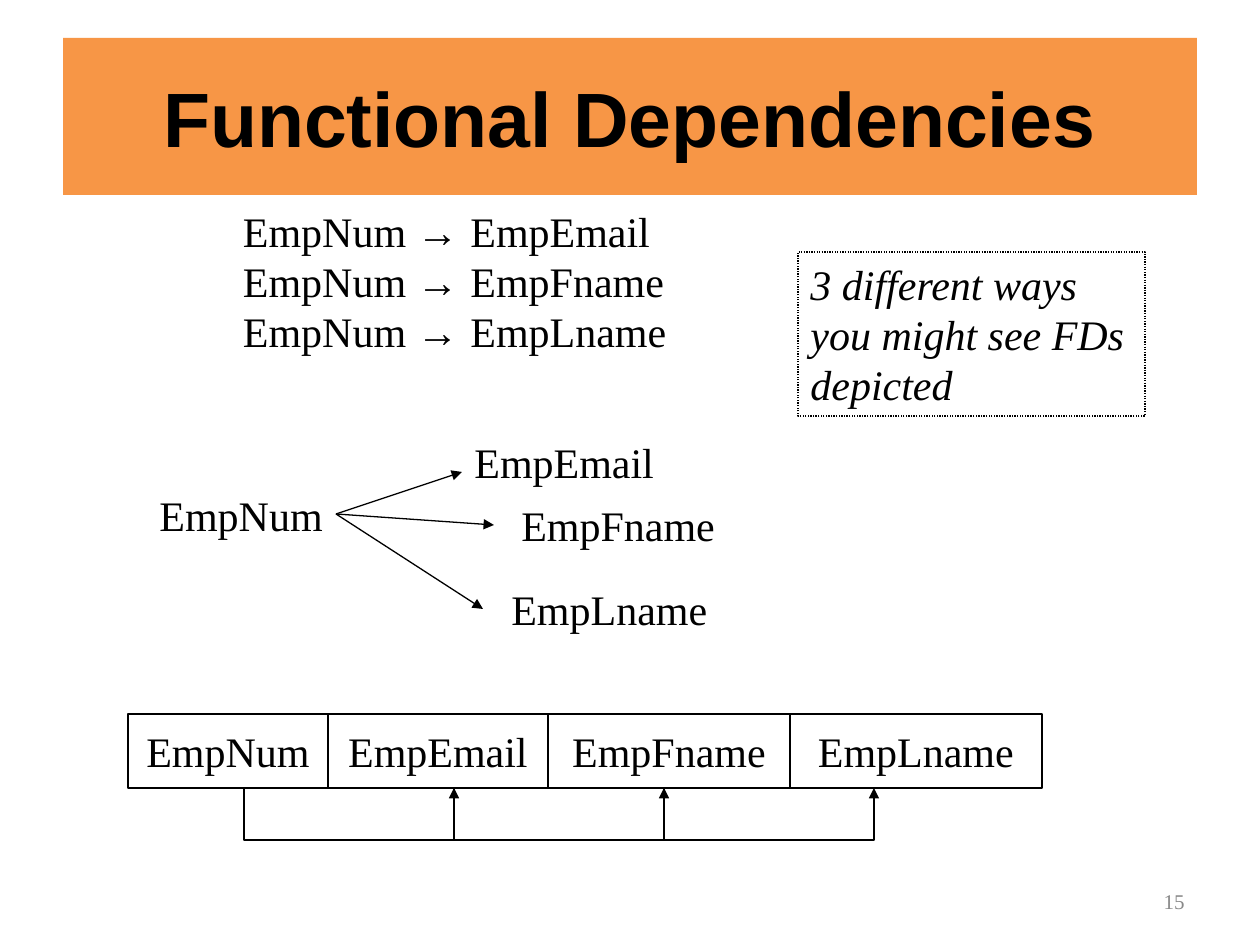
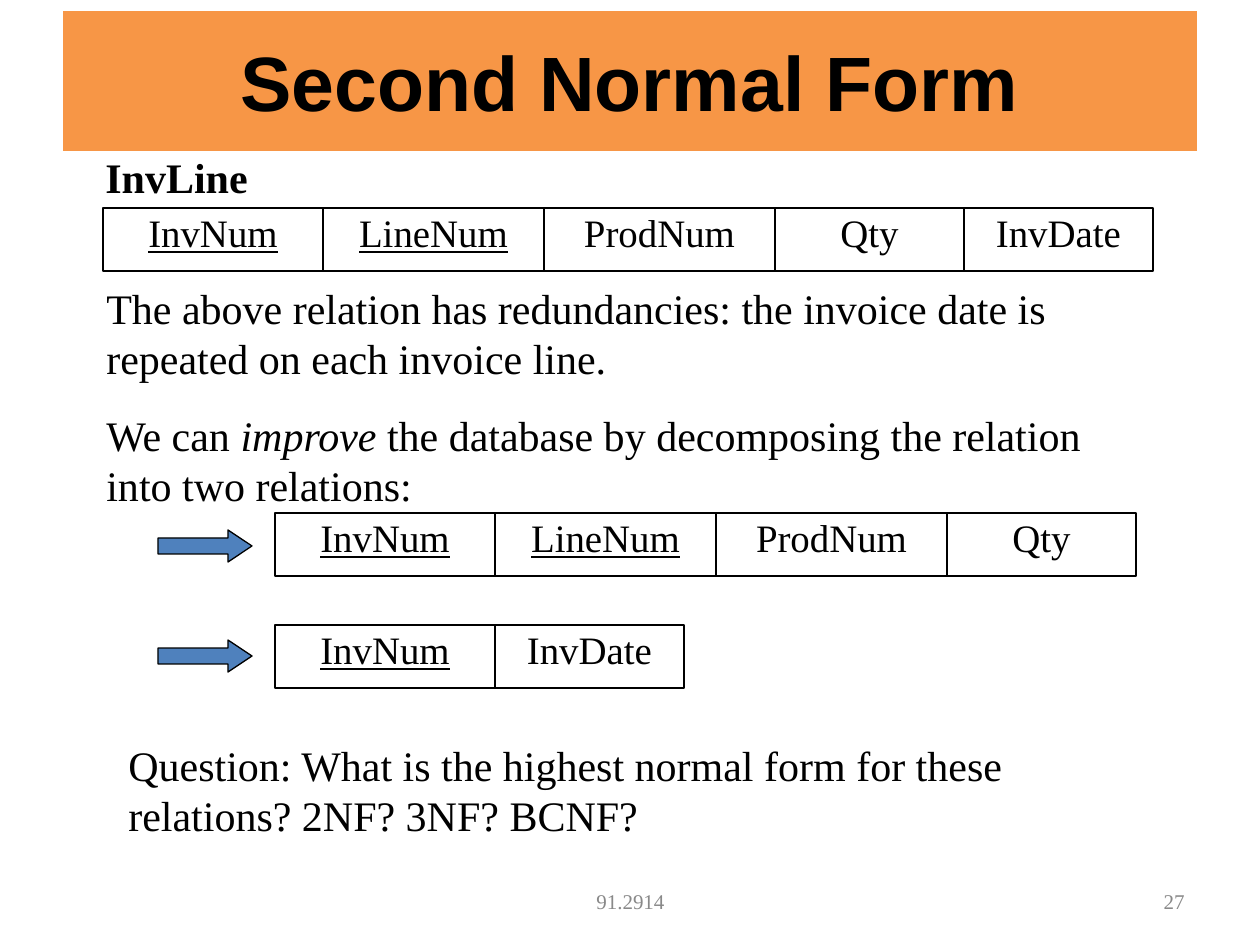
"""Build two slides on functional dependencies and second normal form."""
import pptx
import pptx.util
import pptx.dml.color
import pptx.enum.dml
import pptx.enum.shapes
import pptx.enum.text
import pptx.oxml
import pptx.oxml.ns
from lxml import etree

BLACK = pptx.dml.color.RGBColor(0x00, 0x00, 0x00)
WHITE = pptx.dml.color.RGBColor(0xFF, 0xFF, 0xFF)
GREY = pptx.dml.color.RGBColor(0x89, 0x89, 0x89)
ORANGE = pptx.dml.color.RGBColor(0xF7, 0x96, 0x46)
BLUE = pptx.dml.color.RGBColor(0x4F, 0x81, 0xBD)
SANS = "Arial"
SERIF = "Times New Roman"
PIXEL = 914400 / 126
ALIGN = pptx.enum.text.PP_ALIGN
ANCHOR = pptx.enum.text.MSO_ANCHOR
SHAPE = pptx.enum.shapes.MSO_SHAPE
FIELD_WIDTHS = {"InvNum": 220, "LineNum": 221, "ProdNum": 231, "Qty": 189, "InvDate": 189}
KEYS = ("InvNum", "LineNum")


def px(length):
    """Turn pixels into EMU."""
    return pptx.util.Emu(round(length * PIXEL))


def style(paragraph, size=24, name=SERIF, color=BLACK, align=ALIGN.LEFT, **flags):
    """Format a paragraph and its font."""
    paragraph.alignment = align
    font = paragraph.font
    font.size = pptx.util.Pt(size)
    font.name = name
    font.color.rgb = color
    for flag, value in flags.items():
        setattr(font, flag, value)


def outline(item):
    """Give a shape or connector the thin black line."""
    item.line.color.rgb = BLACK
    item.line.width = pptx.util.Pt(0.74)


def add_arrowhead(item):
    """Put a triangle at the end of a line."""
    line = item.element.spPr.find(pptx.oxml.ns.qn("a:ln"))
    etree.SubElement(line, pptx.oxml.ns.qn("a:tailEnd"), type="triangle")


def add_slide(deck, title, top, height, number):
    """Add a slide with its title band and page number."""
    page = deck.slides.add_slide(deck.slide_layouts[5])
    band = page.shapes.title
    band.left, band.top, band.width, band.height = px(63), px(top), px(1134), px(height)
    band.fill.solid()
    band.fill.fore_color.rgb = ORANGE
    band.text_frame.text = title
    band.text_frame.vertical_anchor = ANCHOR.MIDDLE
    style(band.text_frame.paragraphs[0], 44, SANS, align=ALIGN.CENTER, bold=True)
    add_footer(page, number, 903, 294, ALIGN.RIGHT)
    return page


def add_footer(page, text, left, width, align):
    """Add a small grey text at the foot of the page."""
    box = page.shapes.add_textbox(px(left), px(876), px(width), px(50))
    frame = box.text_frame
    frame.word_wrap = True
    frame.vertical_anchor = ANCHOR.MIDDLE
    frame.text = text
    style(frame.paragraphs[0], 12, color=GREY, align=align)


def add_label(page, text, left, top, width, **flags):
    """Add a one-line text."""
    box = page.shapes.add_textbox(px(left), px(top), px(width), px(63))
    box.text_frame.word_wrap = True
    box.text_frame.text = text
    style(box.text_frame.paragraphs[0], **flags)


def add_prose(page, paragraphs, left, top, width, height):
    """Add wrapped paragraphs, each a list of (text, italic) spans."""
    box = page.shapes.add_textbox(px(left), px(top), px(width), px(height))
    frame = box.text_frame
    frame.word_wrap = True
    for index, spans in enumerate(paragraphs):
        para = frame.add_paragraph() if index else frame.paragraphs[0]
        style(para)
        para.space_before = pptx.util.Pt(15)
        for text, italic in spans:
            span = para.add_run()
            span.text = text
            if italic:
                span.font.italic = True


def add_dependencies(page, source, targets):
    """List the dependencies in arrow notation."""
    box = page.shapes.add_textbox(px(95), px(199), px(595), px(164))
    frame = box.text_frame
    frame.word_wrap = True
    frame.margin_left = px(148)
    for index, target in enumerate(targets):
        para = frame.add_paragraph() if index else frame.paragraphs[0]
        style(para)
        for text, name in ((f"{source} ", SERIF), ("→ ", SANS), (target, SERIF)):
            span = para.add_run()
            span.text = text
            span.font.name = name


def add_shape(page, kind, left, top, width, height, fill=None):
    """Add an outlined preset shape."""
    shape = page.shapes.add_shape(kind, px(left), px(top), px(width), px(height))
    shape.shadow.inherit = False
    if fill is None:
        shape.fill.background()
    else:
        shape.fill.solid()
        shape.fill.fore_color.rgb = fill
    outline(shape)
    return shape


def add_relation(page, fields, left, top, height, anchor, fill=None, spacing=None, size=24):
    """Draw a relation as a row of boxes from (name, width) fields."""
    for name, width in fields:
        cell = add_shape(page, SHAPE.RECTANGLE, left, top, width, height, fill)
        frame = cell.text_frame
        frame.vertical_anchor = anchor
        frame.text = name
        para = frame.paragraphs[0]
        para.line_spacing = spacing
        style(para, size, align=ALIGN.CENTER, underline=name in KEYS)
        left += width


def add_invoice_relation(page, names, left, top):
    """Draw an invoice relation with its key fields underlined."""
    fields = [(name, FIELD_WIDTHS[name]) for name in names]
    add_relation(page, fields, left, top, 63, ANCHOR.TOP, WHITE, 0.9, 22.2)


def add_arrow(page, start, end):
    """Draw a straight arrow."""
    arrow = page.shapes.add_connector(
        pptx.enum.shapes.MSO_CONNECTOR.STRAIGHT, *map(px, start + end))
    outline(arrow)
    add_arrowhead(arrow)
    etree.SubElement(arrow.element.spPr, pptx.oxml.ns.qn("a:effectLst"))


def add_elbow(page, left, right, top, bottom):
    """Draw a bracket below a relation that points up at its right end."""
    builder = page.shapes.build_freeform(px(left), px(top))
    corners = [(left, bottom), (right, bottom), (right, top)]
    builder.add_line_segments([(px(x), px(y)) for x, y in corners], close=False)
    bracket = builder.convert_to_shape()
    bracket.shadow.inherit = False
    bracket.fill.background()
    outline(bracket)
    add_arrowhead(bracket)


def add_note(page, text):
    """Add the dotted remark."""
    note = add_shape(page, SHAPE.RECTANGLE, 798, 252, 347, 164)
    note.line.dash_style = pptx.enum.dml.MSO_LINE.ROUND_DOT
    frame = note.text_frame
    frame.word_wrap = True
    frame.vertical_anchor = ANCHOR.TOP
    frame.text = text
    frame.paragraphs[0].space_before = pptx.util.Pt(15)
    style(frame.paragraphs[0], italic=True)


def build_dependencies(deck):
    """Build the slide on functional dependencies."""
    page = add_slide(deck, "Functional Dependencies", 38, 157, "15")
    add_dependencies(page, "EmpNum", ["EmpEmail", "EmpFname", "EmpLname"])
    add_label(page, "EmpNum", 147, 483, 194)
    branches = [("EmpEmail", 462, 430, 210, (462, 472)),
                ("EmpFname", 509, 493, 224, (494, 525)),
                ("EmpLname", 499, 577, 226, (483, 609))]
    for name, left, top, width, tip in branches:
        add_label(page, name, left, top, width)
        add_arrow(page, (336, 514), tip)
    fields = [("EmpNum", 200), ("EmpEmail", 220), ("EmpFname", 242), ("EmpLname", 252)]
    add_relation(page, fields, 128, 714, 74, ANCHOR.MIDDLE)
    for left in range(244, 874, 210):
        add_elbow(page, left, left + 210, 788, 840)
    add_note(page, "3 different ways you might see FDs depicted")


def build_normal_form(deck):
    """Build the slide on second normal form."""
    page = add_slide(deck, "Second Normal Form", 11, 140, "27")
    add_footer(page, "91.2914", 431, 399, ALIGN.CENTER)
    add_invoice_relation(page, FIELD_WIDTHS, 103, 208)
    add_label(page, "InvLine", 93, 145, 174, bold=True)
    add_prose(page, [
        [("The above relation has redundancies: the invoice date is "
          "repeated on each invoice line.", False)],
        [("We can ", False), ("improve", True),
         (" the database by decomposing the relation into two relations:", False)],
    ], 94, 276, 1071, 241)
    add_invoice_relation(page, ["InvNum", "LineNum", "ProdNum", "Qty"], 275, 513)
    add_invoice_relation(page, ["InvNum", "InvDate"], 275, 625)
    for top in (530, 640):
        arrow = add_shape(page, SHAPE.RIGHT_ARROW, 158, top, 94, 32, BLUE)
        arrow.adjustments[0] = 0.5
        arrow.adjustments[1] = 0.75
    add_prose(page, [[("Question: What is the highest normal form for these "
                       "relations? 2NF? 3NF? BCNF?", False)]], 116, 733, 1029, 113)


def main():
    """Build and save the deck."""
    deck = pptx.Presentation()
    deck.slide_width, deck.slide_height = px(1260), px(945)
    build_dependencies(deck)
    build_normal_form(deck)
    deck.save("out.pptx")


main()
